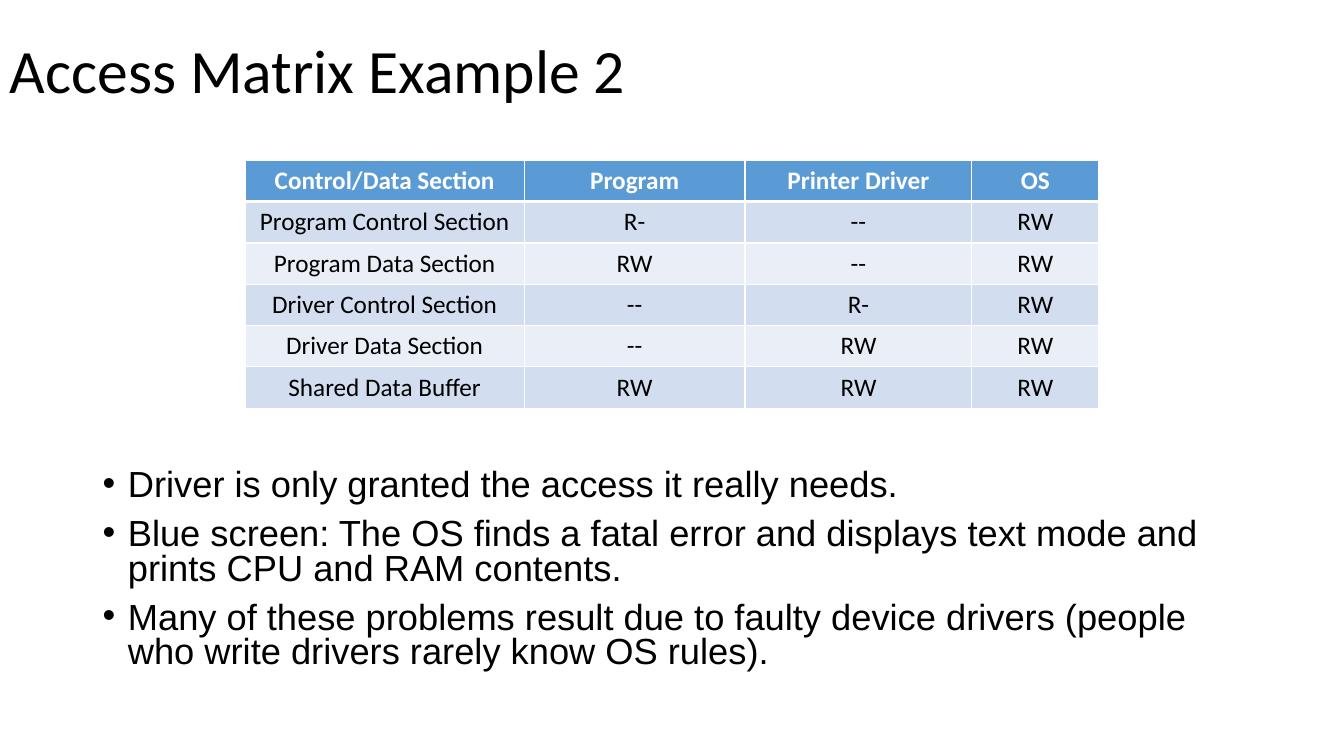
import dataclasses

import pptx
import pptx.dml.color
import pptx.enum.text
import pptx.oxml
import pptx.oxml.ns
import pptx.util

Inches = pptx.util.Inches
Pt = pptx.util.Pt
Align = pptx.enum.text.PP_ALIGN
Anchor = pptx.enum.text.MSO_ANCHOR


@dataclasses.dataclass(frozen=True)
class Theme:
    ink: str = "000000"
    paper: str = "FFFFFF"
    header: str = "5B9BD5"
    bands: tuple = ("D2DEEF", "EAEFF7")
    heading_font: str = "Calibri"
    body_font: str = "Arial"
    title_size: float = 44
    table_size: float = 18
    bullet_size: float = 25.9
    thin_line: float = 1
    thick_line: float = 3


THEME = Theme()

COLUMN_WIDTHS = (2.77, 2.19, 2.25, 1.26)
ROW_HEIGHT = 0.41
ACCESS_MATRIX = (
    ("Control/Data Section", "Program", "Printer Driver", "OS"),
    ("Program Control Section", "R-", "--", "RW"),
    ("Program Data Section", "RW", "--", "RW"),
    ("Driver Control Section", "--", "R-", "RW"),
    ("Driver Data Section", "--", "RW", "RW"),
    ("Shared Data Buffer", "RW", "RW", "RW"),
)
REMARKS = (
    "Driver is only granted the access it really needs.",
    "Blue screen: The OS finds a fatal error and displays text mode and "
    "prints CPU and RAM contents.",
    "Many of these problems result due to faulty device drivers (people "
    "who write drivers rarely know OS rules).",
)


def color(code):
    return pptx.dml.color.RGBColor.from_string(code)


def add_span(para, text, font, size, ink, bold=False):
    span = para.add_run()
    span.text = text
    span.font.name = font
    span.font.size = Pt(size)
    span.font.bold = bold
    span.font.color.rgb = color(ink)


def add_box(page, left, top, width, height):
    box = page.shapes.add_textbox(
        Inches(left), Inches(top), Inches(width), Inches(height)
    )
    box.text_frame.word_wrap = True
    return box.text_frame


def add_title(page, text):
    frame = add_box(page, 0, 0, 11.5, 1.45)
    frame.vertical_anchor = Anchor.MIDDLE
    para = frame.paragraphs[0]
    para.line_spacing = 0.9
    add_span(para, text, THEME.heading_font, THEME.title_size, THEME.ink)


def add_border(cell, side, width):
    namespace = pptx.oxml.ns.nsdecls("a")
    cell._tc.get_or_add_tcPr().append(pptx.oxml.parse_xml(
        f'<a:ln{side} {namespace} w="{Pt(width)}"><a:solidFill>'
        f'<a:srgbClr val="{THEME.paper}"/></a:solidFill></a:ln{side}>'
    ))


def style_cell(cell, text, row):
    is_header = row == 0
    heavy_side = {0: "B", 1: "T"}.get(row)
    for side in "LRTB":
        add_border(cell, side, THEME.thick_line if side == heavy_side else THEME.thin_line)
    cell.fill.solid()
    fill = THEME.header if is_header else THEME.bands[(row - 1) % 2]
    cell.fill.fore_color.rgb = color(fill)
    cell.vertical_anchor = Anchor.MIDDLE
    para = cell.text_frame.paragraphs[0]
    para.alignment = Align.CENTER
    ink = THEME.paper if is_header else THEME.ink
    add_span(para, text, THEME.heading_font, THEME.table_size, ink, is_header)


def add_matrix(page, left, top, rows):
    table = page.shapes.add_table(
        len(rows), len(COLUMN_WIDTHS), Inches(left), Inches(top),
        Inches(sum(COLUMN_WIDTHS)), Inches(ROW_HEIGHT * len(rows)),
    ).table
    for column, width in zip(table.columns, COLUMN_WIDTHS):
        column.width = Inches(width)
    for row, texts in enumerate(rows):
        table.rows[row].height = Inches(ROW_HEIGHT)
        for column, text in enumerate(texts):
            style_cell(table.cell(row, column), text, row)


def add_bullet(para):
    properties = para._p.get_or_add_pPr()
    properties.set("marL", str(Inches(0.25)))
    properties.set("indent", str(Inches(-0.25)))
    namespace = pptx.oxml.ns.nsdecls("a")
    for element in (
        f'<a:buFont {namespace} typeface="{THEME.body_font}"/>',
        f'<a:buChar {namespace} char="•"/>',
    ):
        properties.append(pptx.oxml.parse_xml(element))


def add_bullets(page, texts):
    frame = add_box(page, 0.92, 4.61, 11.5, 2.14)
    for index, text in enumerate(texts):
        para = frame.add_paragraph() if index else frame.paragraphs[0]
        add_bullet(para)
        para.line_spacing = 0.8
        para.space_before = Pt(10 if index else 0)
        add_span(para, text, THEME.body_font, THEME.bullet_size, THEME.ink)


def main():
    deck = pptx.Presentation()
    deck.slide_width = Inches(13.33)
    deck.slide_height = Inches(7.5)
    page = deck.slides.add_slide(deck.slide_layouts[6])
    add_title(page, "Access Matrix Example 2")
    add_matrix(page, 2.43, 1.59, ACCESS_MATRIX)
    add_bullets(page, REMARKS)
    deck.save("out.pptx")


if __name__ == "__main__":
    main()
